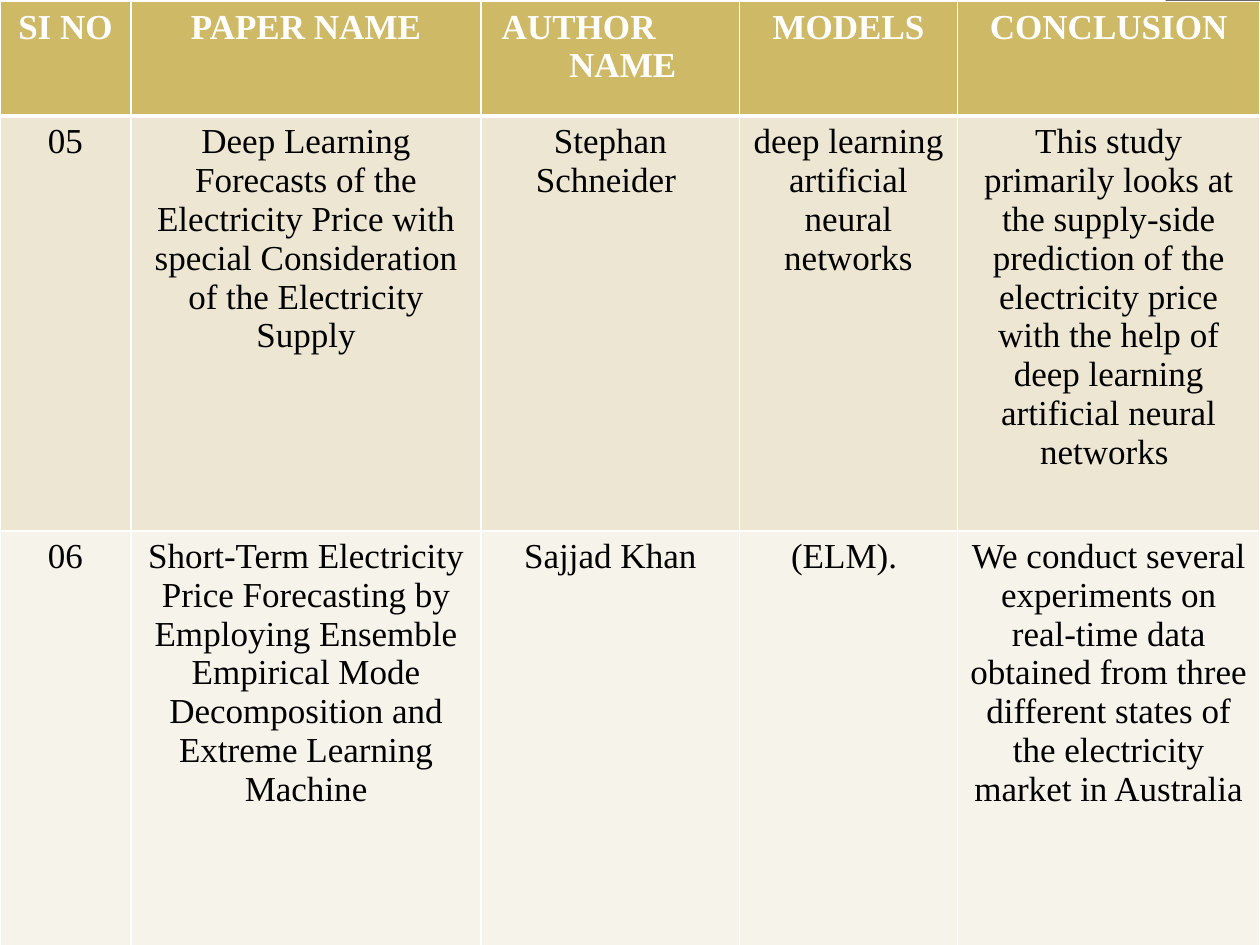
from dataclasses import dataclass

from lxml.etree import SubElement
from pptx import Presentation
from pptx.dml.color import RGBColor as Color
from pptx.enum.shapes import MSO_SHAPE as Shape
from pptx.enum.text import PP_ALIGN as Align
from pptx.oxml.ns import qn
from pptx.util import Cm, Pt


@dataclass(frozen=True)
class Theme:
    font: str = "Times New Roman"
    size: int = 20
    strip: str = "69676D"
    header: str = "CEB966"
    bands: tuple = ("EDE6D3", "F6F3EA")
    header_text: str = "FFFFFF"
    body_text: str = "000000"
    border: str = "FFFFFF"
    thin: int = 1
    thick: int = 3


class Deck:
    def __init__(self, theme):
        self.theme = theme
        self.deck = Presentation()
        self.deck.slide_width, self.deck.slide_height = Cm(25.4), Cm(19.05)
        self.page = self.deck.slides.add_slide(self.deck.slide_layouts[6])

    def strip(self, left, top, width, height):
        box = self.page.shapes.add_shape(
            Shape.RECTANGLE, Cm(left), Cm(top), Cm(width), Cm(height))
        box.shadow.inherit = False
        box.fill.solid()
        box.fill.fore_color.rgb = Color.from_string(self.theme.strip)
        box.line.fill.background()

    def borders(self, cell, top, bottom):
        properties = cell._tc.get_or_add_tcPr()
        thin = self.theme.thin
        for side, width in (("L", thin), ("R", thin), ("T", top), ("B", bottom)):
            line = SubElement(properties, qn(f"a:ln{side}"), w=str(Pt(width)))
            fill = SubElement(line, qn("a:solidFill"))
            SubElement(fill, qn("a:srgbClr"), val=self.theme.border)

    def cell(self, cell, text, row, indents=None):
        theme = self.theme
        is_header = row == 0
        self.borders(cell,
                     theme.thick if row == 1 else theme.thin,
                     theme.thick if is_header else theme.thin)
        fill = theme.header if is_header else theme.bands[(row - 1) % 2]
        cell.fill.solid()
        cell.fill.fore_color.rgb = Color.from_string(fill)
        cell.text = text
        for index, para in enumerate(cell.text_frame.paragraphs):
            para.alignment = Align.LEFT if indents else Align.CENTER
            if indents:
                para._p.get_or_add_pPr().set("marL", str(Cm(indents[index])))
            para.font.name = theme.font
            para.font.size = Pt(theme.size)
            para.font.bold = is_header
            para.font.color.rgb = Color.from_string(
                theme.header_text if is_header else theme.body_text)

    def table(self, left, top, widths, heights, rows, indents):
        table = self.page.shapes.add_table(
            len(heights), len(widths), Cm(left), Cm(top),
            Cm(sum(widths)), Cm(sum(heights))).table
        for column, width in zip(table.columns, widths):
            column.width = Cm(width)
        for line, height in zip(table.rows, heights):
            line.height = Cm(height)
        for row, texts in enumerate(rows):
            for column, text in enumerate(texts):
                self.cell(table.cell(row, column), text, row,
                          indents.get((row, column)))

    def save(self):
        self.deck.save("out.pptx")


PAPERS = [
    ("SI NO", "PAPER NAME", "AUTHOR\nNAME", "MODELS", "CONCLUSION"),
    ("05",
     "Deep Learning Forecasts of the Electricity Price with special "
     "Consideration of the Electricity Supply",
     "Stephan Schneider ",
     "deep learning artificial neural networks",
     "This study primarily looks at the supply-side prediction of the "
     "electricity price with the help of deep learning artificial neural "
     "networks "),
    ("06",
     "Short-Term Electricity Price Forecasting by Employing Ensemble "
     "Empirical Mode Decomposition and Extreme Learning Machine",
     " Sajjad Khan ",
     "(ELM). ",
     "We conduct several experiments on real-time data obtained from three "
     "different states of the electricity market in Australia"),
]

survey = Deck(Theme())
survey.strip(23.5, 0, 1.9, 19.05)
survey.table(0, 0.03, (2.64, 7.06, 5.21, 4.39, 6.1), (2.31, 8.36, 8.36),
             PAPERS, {(0, 2): (0.16, 1.52)})
survey.save()
